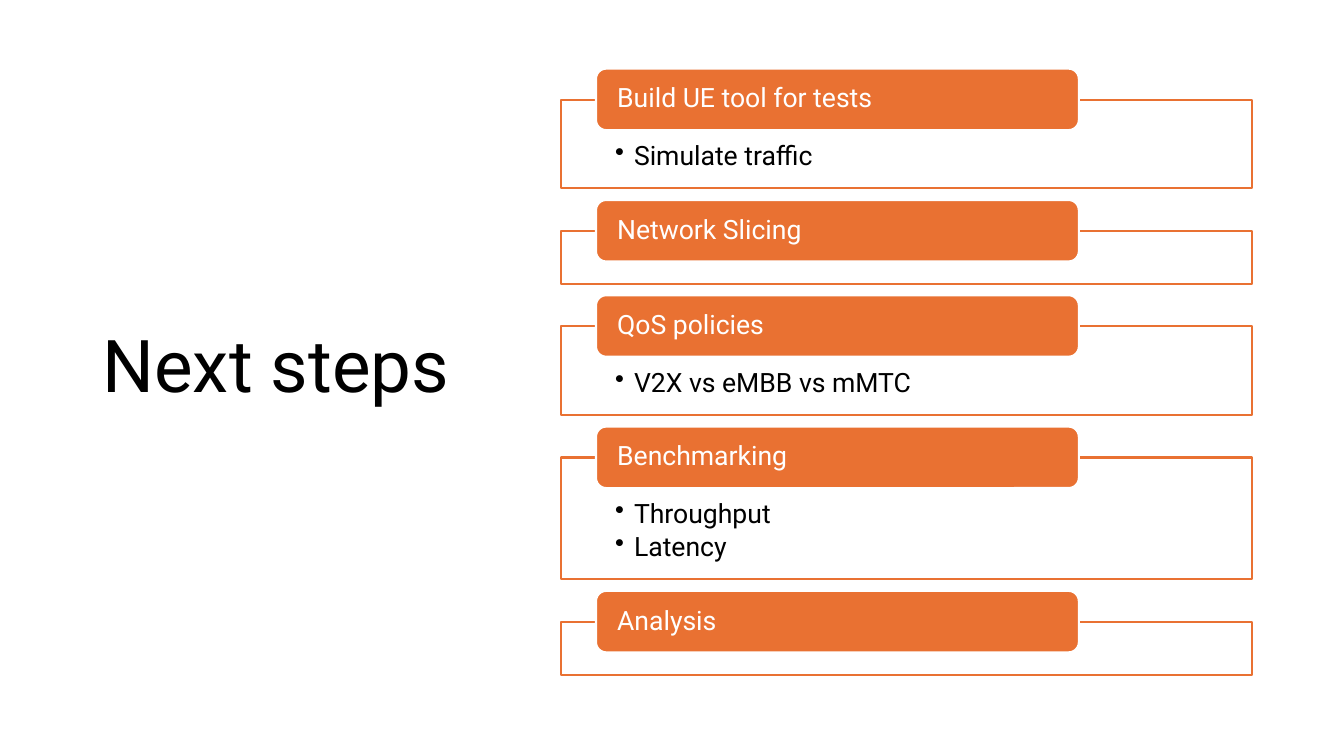
from dataclasses import dataclass

from lxml import etree
from pptx import Presentation
from pptx.dml.color import RGBColor
from pptx.enum.shapes import MSO_SHAPE
from pptx.enum.text import MSO_ANCHOR, PP_ALIGN
from pptx.oxml.ns import qn
from pptx.shapes.autoshape import Shape
from pptx.slide import Slide
from pptx.text.text import TextFrame
from pptx.util import Cm, Pt

RECTANGLE = MSO_SHAPE.RECTANGLE
ROUNDED = MSO_SHAPE.ROUNDED_RECTANGLE
TOP, MIDDLE = MSO_ANCHOR.TOP, MSO_ANCHOR.MIDDLE
LEFT = PP_ALIGN.LEFT

COLORS = {"orange": "E97132", "white": "FFFFFF", "black": "000000"}
FONT = "Roboto"
TITLE_SIZE, STEP_SIZE = 52, 19

FRAME_LEFT, FRAME_WIDTH = 14.15, 17.4
FIRST_FRAME_TOP, FRAME_GAP = 2.51, 1.07
FRAME_HEIGHTS = {0: 1.33, 1: 2.24, 2: 3.07}  # by number of bullets
HEADING_LEFT, HEADING_WIDTH, HEADING_HEIGHT = 15.02, 12.17, 1.55
HEADING_RISE = 0.78
BULLET_INDENT = 0.48

FRAME_TEXT = {
    "margin_left": Cm(1.35), "margin_right": Cm(1.35),
    "margin_top": Cm(1.09), "margin_bottom": Cm(0.38),
    "vertical_anchor": TOP, "word_wrap": True,
}
HEADING_TEXT = {
    "margin_left": Cm(0.46), "margin_right": Cm(0.46),
    "margin_top": 0, "margin_bottom": 0,
    "vertical_anchor": MIDDLE, "word_wrap": True,
}
TITLE_TEXT = {"vertical_anchor": MIDDLE, "word_wrap": True}


@dataclass(frozen=True)
class Step:
    heading: str
    bullets: tuple[str, ...] = ()


STEPS = (
    Step("Build UE tool for tests", ("Simulate traffic",)),
    Step("Network Slicing"),
    Step("QoS policies", ("V2X vs eMBB vs mMTC",)),
    Step("Benchmarking", ("Throughput", "Latency")),
    Step("Analysis"),
)


def color(name: str) -> RGBColor:
    return RGBColor.from_string(COLORS[name])


def apply_format(target: object, values: dict) -> None:
    for name, value in values.items():
        setattr(target, name, value)


def write_text(frame: TextFrame, lines: tuple[str, ...], size: int,
               color_name: str, text_format: dict, space_after: float = 0) -> None:
    frame.text = "\n".join(lines)
    apply_format(frame, text_format)
    for paragraph in frame.paragraphs:
        apply_format(paragraph, {"alignment": LEFT, "line_spacing": 0.9,
                                 "space_before": Pt(0), "space_after": Pt(space_after)})
        apply_format(paragraph.font, {"name": FONT, "size": Pt(size)})
        paragraph.font.color.rgb = color(color_name)


def add_bullets(frame: TextFrame) -> None:
    for paragraph in frame.paragraphs:
        paragraph.level = 1
        properties = paragraph._p.get_or_add_pPr()
        properties.set("marL", str(Cm(BULLET_INDENT)))
        properties.set("indent", str(-Cm(BULLET_INDENT)))
        bullet = etree.Element(qn("a:buChar"), char="•")
        spacing = properties.find(qn("a:spcAft"))
        spacing.addnext(bullet)


def add_box(slide: Slide, kind: MSO_SHAPE, left: float, top: float, width: float,
            height: float, fill: str, line: str) -> Shape:
    shape = slide.shapes.add_shape(kind, Cm(left), Cm(top), Cm(width), Cm(height))
    shape.shadow.inherit = False
    shape.fill.solid()
    shape.fill.fore_color.rgb = color(fill)
    shape.line.color.rgb = color(line)
    shape.line.width = Pt(1.5)
    return shape


def add_step(slide: Slide, step: Step, top: float, height: float) -> None:
    frame = add_box(slide, RECTANGLE, FRAME_LEFT, top, FRAME_WIDTH, height,
                    "white", "orange")
    fill_color = frame._element.spPr.find(qn("a:solidFill"))[0]
    etree.SubElement(fill_color, qn("a:alpha"), val="90000")
    if step.bullets:
        write_text(frame.text_frame, step.bullets, STEP_SIZE, "black", FRAME_TEXT, 3)
        add_bullets(frame.text_frame)
    heading = add_box(slide, ROUNDED, HEADING_LEFT, top - HEADING_RISE,
                      HEADING_WIDTH, HEADING_HEIGHT, "orange", "white")
    write_text(heading.text_frame, (step.heading,), STEP_SIZE, "white", HEADING_TEXT)


def add_title(slide: Slide) -> None:
    title = slide.shapes.title
    apply_format(title, {"left": Cm(2.33), "top": Cm(1.55),
                         "width": Cm(9.38), "height": Cm(15.47)})
    write_text(title.text_frame, ("Next steps",), TITLE_SIZE, "black", TITLE_TEXT)


def main() -> None:
    presentation = Presentation()
    presentation.slide_width, presentation.slide_height = Cm(33.87), Cm(19.05)
    slide = presentation.slides.add_slide(presentation.slide_layouts[5])
    add_title(slide)
    top = FIRST_FRAME_TOP
    for step in STEPS:
        height = FRAME_HEIGHTS[len(step.bullets)]
        add_step(slide, step, top, height)
        top += height + FRAME_GAP
    presentation.save("out.pptx")


if __name__ == "__main__":
    main()
